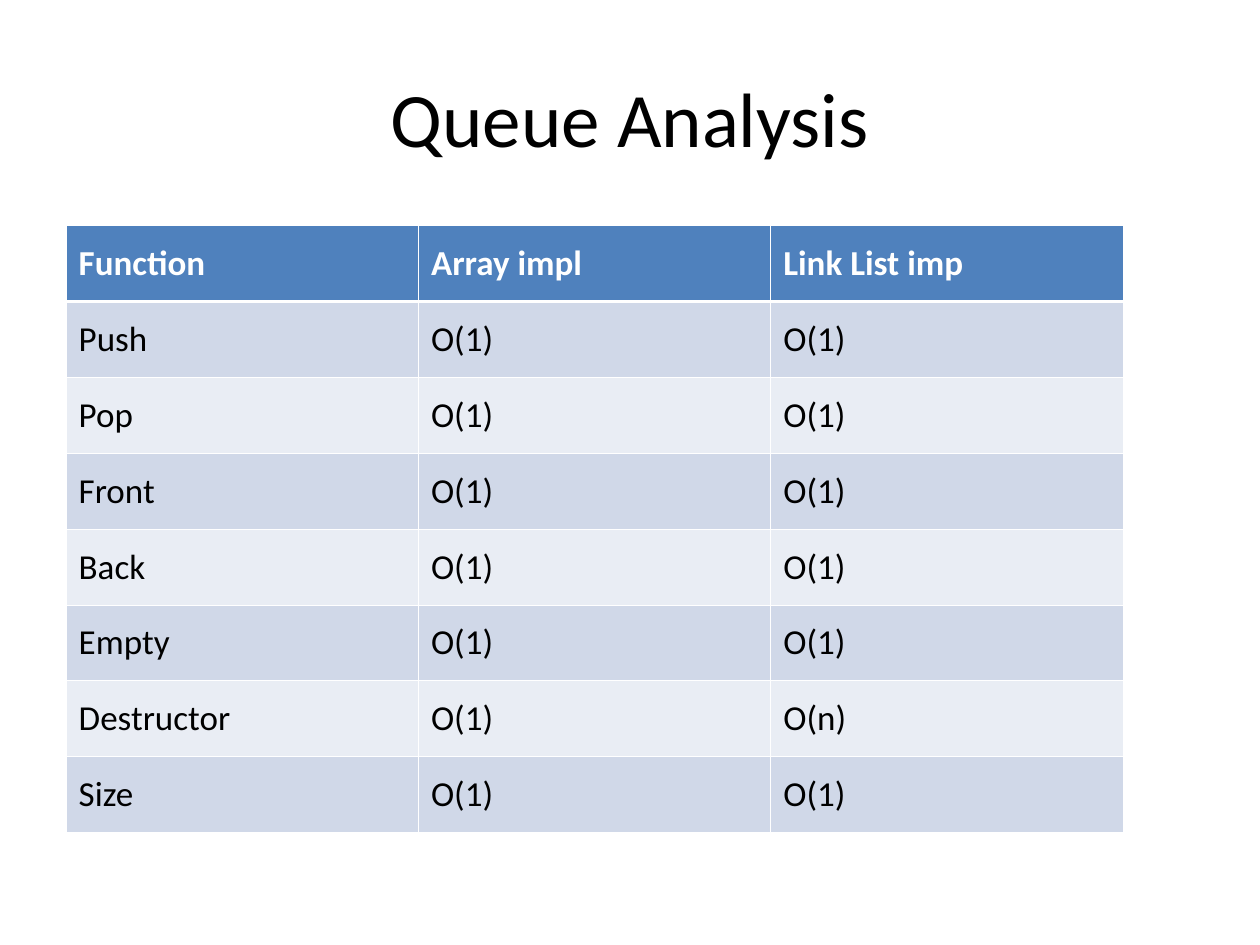
from dataclasses import dataclass

from lxml import etree
from pptx import Presentation
from pptx.dml.color import RGBColor
from pptx.enum import text
from pptx.oxml import ns
from pptx.util import Pt


@dataclass(frozen=True)
class Theme:
    font: str = "Calibri"
    title_size: float = 44
    cell_size: float = 20
    ink: str = "000000"
    paper: str = "FFFFFF"
    header: str = "4F81BD"
    bands: tuple = ("D0D8E8", "E9EDF4")
    rule: float = 0.45
    header_rule: float = 1.47


THEME = Theme()
HEADINGS = ("Function", "Array impl", "Link List imp")
COSTS = (
    ("Push", "O(1)", "O(1)"),
    ("Pop", "O(1)", "O(1)"),
    ("Front", "O(1)", "O(1)"),
    ("Back", "O(1)", "O(1)"),
    ("Empty", "O(1)", "O(1)"),
    ("Destructor", "O(1)", "O(n)"),
    ("Size", "O(1)", "O(1)"),
)


def style_font(font, size, color, bold=False):
    font.name = THEME.font
    font.size = Pt(size)
    font.bold = bold
    font.color.rgb = RGBColor.from_string(color)


def add_borders(cell, top, bottom):
    properties = cell._tc.get_or_add_tcPr()
    widths = {"L": THEME.rule, "R": THEME.rule, "T": top, "B": bottom}
    for side, width in widths.items():
        line = etree.SubElement(properties, ns.qn(f"a:ln{side}"), w=str(int(Pt(width))))
        fill = etree.SubElement(line, ns.qn("a:solidFill"))
        etree.SubElement(fill, ns.qn("a:srgbClr"), val=THEME.paper)


def fill_cell(cell, wording, row):
    is_header = row == 0
    add_borders(
        cell,
        top=THEME.header_rule if row == 1 else THEME.rule,
        bottom=THEME.header_rule if is_header else THEME.rule,
    )
    cell.fill.solid()
    background = THEME.header if is_header else THEME.bands[(row - 1) % 2]
    cell.fill.fore_color.rgb = RGBColor.from_string(background)
    cell.vertical_anchor = text.MSO_ANCHOR.MIDDLE
    cell.text_frame.text = wording
    color = THEME.paper if is_header else THEME.ink
    style_font(cell.text_frame.paragraphs[0].runs[0].font, THEME.cell_size, color, is_header)


def place_title(slide, left, top, width, height):
    title = slide.shapes.title
    title.left, title.top = Pt(left), Pt(top)
    title.width, title.height = Pt(width), Pt(height)
    frame = title.text_frame
    frame.text = "Queue Analysis"
    frame.vertical_anchor = text.MSO_ANCHOR.MIDDLE
    heading = frame.paragraphs[0]
    heading.alignment = text.PP_ALIGN.CENTER
    style_font(heading.runs[0].font, THEME.title_size, THEME.ink)


def place_cost_table(slide, left, top, width, height):
    rows = (HEADINGS, *COSTS)
    costs = slide.shapes.add_table(
        len(rows), len(HEADINGS), Pt(left), Pt(top), Pt(width), Pt(height)
    ).table
    for row, entries in enumerate(rows):
        for column, wording in enumerate(entries):
            fill_cell(costs.cell(row, column), wording, row)


def main():
    deck = Presentation()
    deck.slide_width, deck.slide_height = Pt(720), Pt(540)
    slide = deck.slides.add_slide(deck.slide_layouts[5])
    place_title(slide, 36, 21.6, 648, 90)
    place_cost_table(slide, 37.8, 129, 604, 346.8)
    deck.save("out.pptx")


if __name__ == "__main__":
    main()
